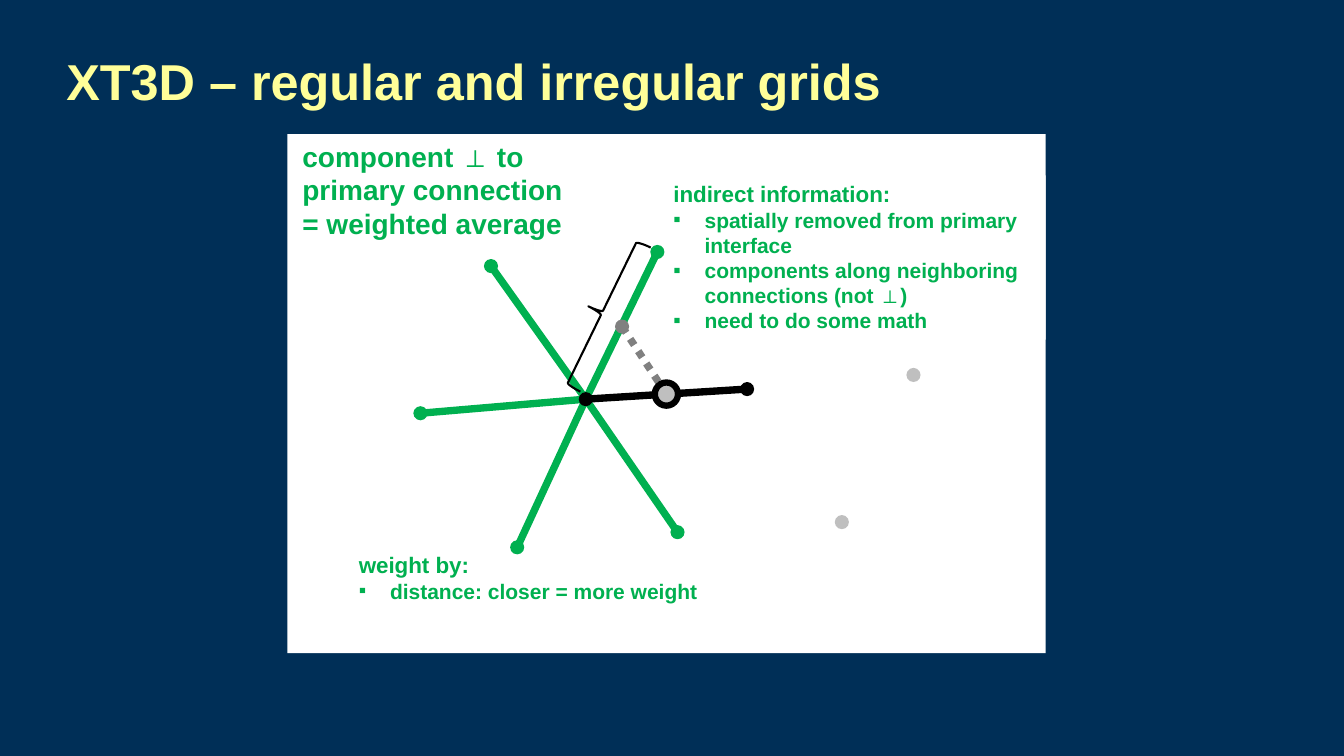
"""Build the slide on XT3D connections in regular and irregular grids."""
from lxml.etree import SubElement
from pptx import Presentation
from pptx.dml.color import RGBColor
from pptx.enum.dml import MSO_LINE
from pptx.enum.shapes import MSO_CONNECTOR, MSO_SHAPE
from pptx.enum.text import MSO_ANCHOR, MSO_AUTO_SIZE, PP_ALIGN
from pptx.oxml.ns import qn
from pptx.util import Inches, Pt


def paint(color, code):
    color.rgb = RGBColor.from_string(code)


def write(box, lines, size, code=None, small=15):
    frame = box.text_frame
    frame.word_wrap = True
    frame.vertical_anchor = MSO_ANCHOR.TOP
    for i, line in enumerate(lines):
        para = frame.paragraphs[0] if i == 0 else frame.add_paragraph()
        para.text = line.removeprefix("▪")
        para.alignment = PP_ALIGN.LEFT
        bullet = line.startswith("▪")
        if bullet:
            props = para._p.get_or_add_pPr()
            props.set("marL", str(Inches(0.31)))
            props.set("indent", str(Inches(-0.31)))
            SubElement(props, qn("a:buFont"), typeface="Arial")
            SubElement(props, qn("a:buChar"), char="▪")
        para.font.name = "Arial"
        para.font.bold = True
        para.font.size = Pt(small if bullet else size)
        paint(para.font.color, code or GREEN)


GREEN, BLACK, GRAY, PALE, WHITE = "00B050", "000000", "808080", "BFBFBF", "FFFFFF"

deck = Presentation()
deck.slide_width, deck.slide_height = Inches(13.33), Inches(7.5)
slide = deck.slides.add_slide(deck.slide_layouts[6])
slide.background.fill.solid()
paint(slide.background.fill.fore_color, "002F57")
shapes = slide.shapes

panels = []
for area in [(2.85, 1.33, 7.52, 5.15), (6.58, 1.74, 3.79, 1.63)]:
    panel = shapes.add_shape(MSO_SHAPE.RECTANGLE, *map(Inches, area))
    panel.shadow.inherit = False
    panel.fill.solid()
    paint(panel.fill.fore_color, WHITE)
    panel.line.fill.background()
    panels.append(panel)

hub, face, foot, peer = (5.81, 3.96), (6.61, 3.91), (6.17, 3.24), (7.41, 3.86)
tips = [(4.17, 4.1), (4.87, 2.64), (5.13, 5.43), (6.72, 5.28), (6.52, 2.5)]

links = [(face, foot, GRAY)]
links += [(hub, tip, GREEN) for tip in tips]
links += [(hub, peer, BLACK)]
for start, end, code in links:
    link = shapes.add_connector(MSO_CONNECTOR.STRAIGHT, *map(Inches, start + end))
    SubElement(link._element.spPr, qn("a:effectLst"))
    link.line.width = Pt(5.25)
    paint(link.line.color, code)
    if code == GRAY:
        link.line.dash_style = MSO_LINE.ROUND_DOT

dots = [(tip, 0.14, GREEN) for tip in tips]
dots += [(hub, 0.14, BLACK), (peer, 0.14, BLACK), (foot, 0.14, GRAY)]
dots += [((9.06, 3.72), 0.14, PALE), ((8.35, 5.18), 0.14, PALE), (face, 0.23, PALE)]
for (x, y), size, code in dots:
    dot = shapes.add_shape(MSO_SHAPE.OVAL, Inches(x - size / 2), Inches(y - size / 2),
                           Inches(size), Inches(size))
    dot.shadow.inherit = False
    dot.fill.solid()
    paint(dot.fill.fore_color, code)
    if size > 0.14:
        dot.line.width = Pt(4.5)
        paint(dot.line.color, BLACK)
    else:
        dot.line.fill.background()

brace = shapes.add_shape(MSO_SHAPE.LEFT_BRACE, Inches(5.82), Inches(2.31),
                         Inches(0.3), Inches(1.59))
brace.rotation = 26
brace.shadow.inherit = False
brace.fill.background()
brace.line.width = Pt(1.5)
paint(brace.line.color, BLACK)

title = shapes.add_textbox(Inches(0.56), Inches(0.17), Inches(12.11), Inches(1.25))
write(title, ["XT3D – regular and irregular grids"], 36, "FFFF99")
title.text_frame.vertical_anchor = MSO_ANCHOR.MIDDLE

average = shapes.add_textbox(Inches(2.9), Inches(1.33), Inches(2.82), Inches(1.11))
write(average, ["component ⊥ to primary connection", "= weighted average"], 20)

weight = shapes.add_textbox(Inches(3.46), Inches(5.42), Inches(4.05), Inches(0.62))
write(weight, ["weight by:", "▪distance: closer = more weight"], 16)

notes = panels[1]
write(notes, ["indirect information:",
              "▪spatially removed from primary interface",
              "▪components along neighboring connections (not ⊥)",
              "▪need to do some math"], 16)
for box in (average, weight, notes):
    box.text_frame.auto_size = MSO_AUTO_SIZE.SHAPE_TO_FIT_TEXT

deck.save("out.pptx")
